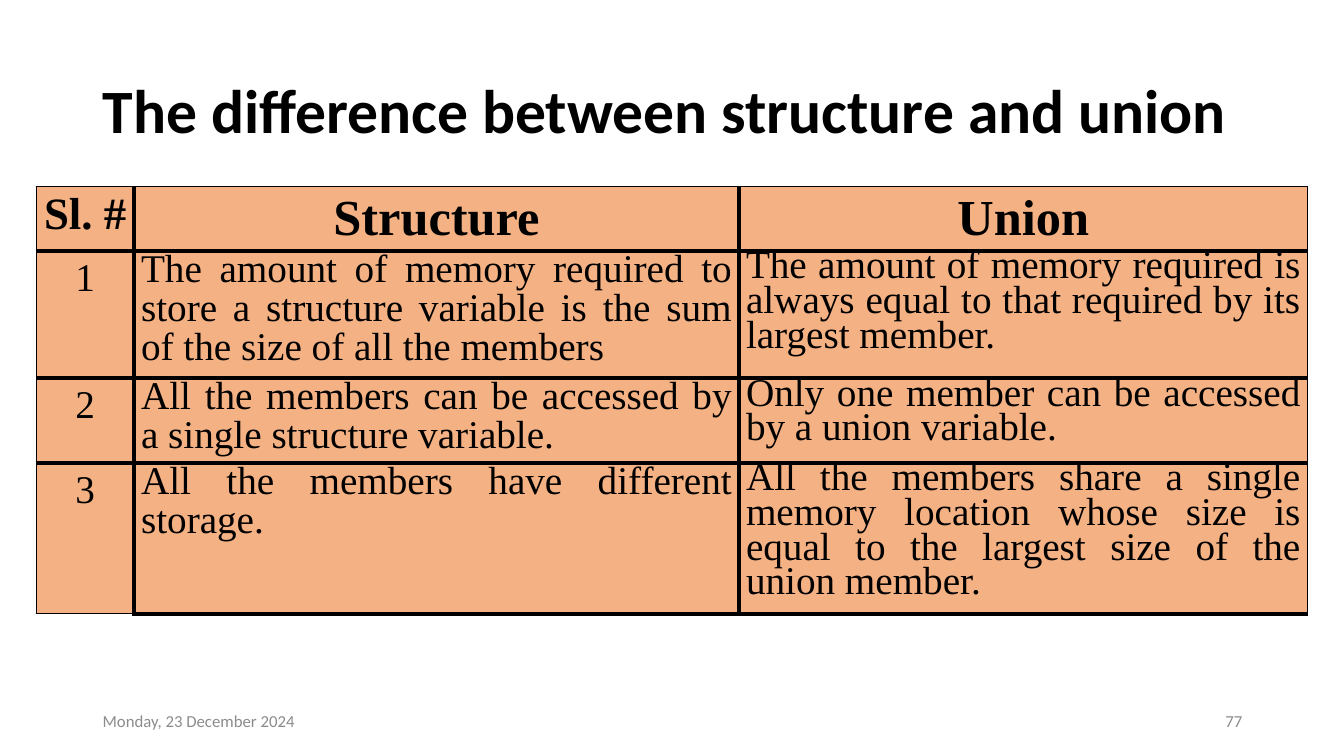
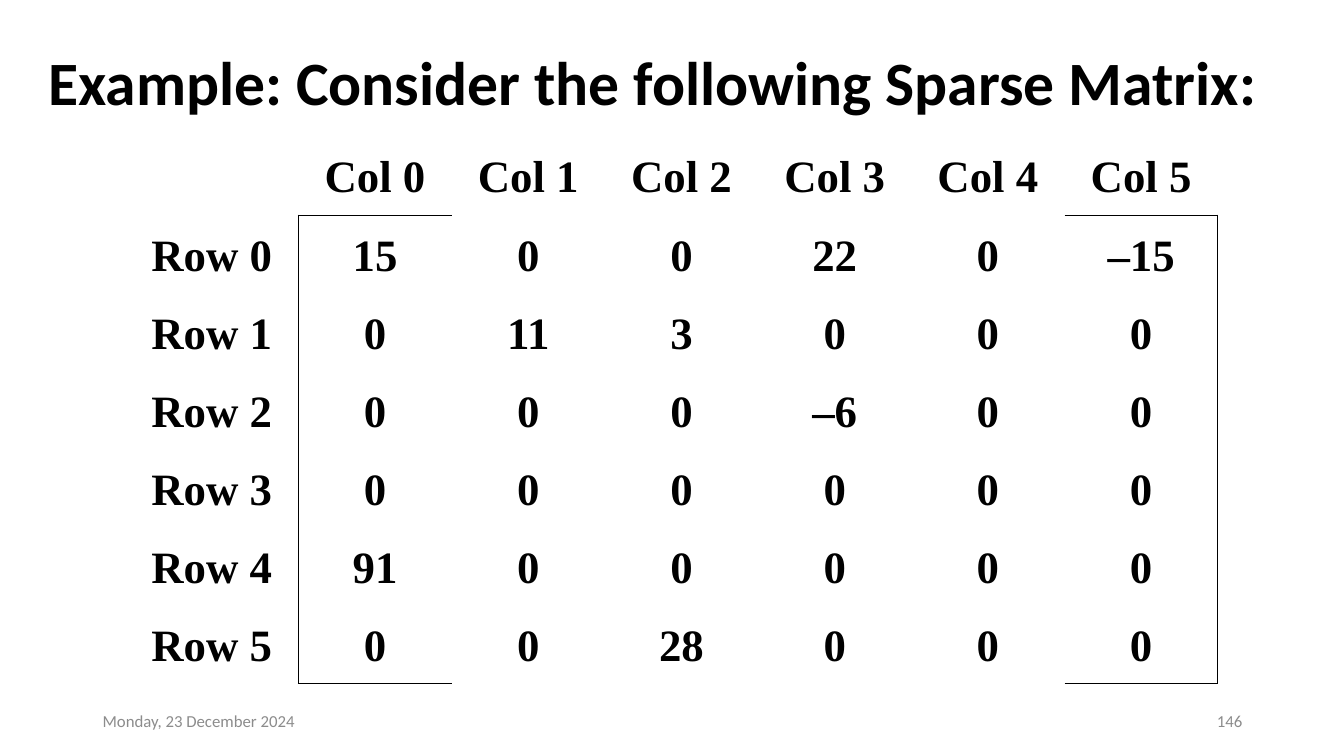
from pptx import Presentation
from pptx.dml.color import RGBColor
from pptx.enum.text import MSO_ANCHOR as ANCHOR, MSO_AUTO_SIZE as AUTO_SIZE, PP_ALIGN as ALIGN
from pptx.oxml.ns import qn
from pptx.util import Inches, Pt
from lxml.etree import SubElement

COLORS = {"ink": "000000", "footer": "8C8C8C", "cell": "F4B183"}
TITLE_FONT, TABLE_FONT = "Calibri", "Times New Roman"
NO_STYLE = "{2D5ABB26-0587-4C30-8999-92F81FD0307C}"
DATE = "Monday, 23 December 2024"

PAGES = [
    {"title": "The difference between structure and union",
     "title_at": (0.92, 0.4, 11.5, 1.45), "number": "77",
     "table_at": (0.36, 1.85), "columns": [0.97, 6, 5.64], "rows": [0.59, 1.16, 0.78, 1.38],
     "cells": [
         ["Sl. #", "Structure", "Union"],
         ["1",
          "The amount of memory required to store a structure variable is the sum "
          "of the size of all the members",
          "The amount of memory required is always equal to that required by its largest member."],
         ["2",
          "All the members can be accessed by a single structure variable.",
          "Only one member can be accessed by a union variable."],
         ["3",
          "All the members have different storage.",
          "All the members share a single memory location whose size is equal to "
          "the largest size of the union member."],
     ]},
    {"title": "Example: Consider the following Sparse Matrix:",
     "title_at": (0.38, 0.12, 12.57, 1.45), "number": "146",
     "table_at": (1.24, 1.36), "columns": [1.72] + [1.52] * 6, "rows": [0.775] * 7,
     "cells": [[""] + [f"Col {i}" for i in range(6)]] + [
         [f"Row {i}"] + values.split() for i, values in enumerate([
             "15 0 0 22 0 –15",
             "0 11 3 0 0 0",
             "0 0 0 –6 0 0",
             "0 0 0 0 0 0",
             "91 0 0 0 0 0",
             "0 0 28 0 0 0",
         ])]},
]


def style_text(para, font_name, size, color, bold=False, align=ALIGN.LEFT, spacing=1.0):
    para.alignment = align
    para.line_spacing = spacing
    for span in para.runs:
        span.font.name = font_name
        span.font.size = Pt(size)
        span.font.bold = bold
        span.font.color.rgb = RGBColor.from_string(COLORS[color])


def add_borders(cell, widths):
    """Draw the sides given in points; call before filling, since lines precede the fill."""
    properties = cell._tc.get_or_add_tcPr()
    for side in "LRTB":
        width = widths.get(side, 0)
        line = SubElement(properties, qn(f"a:ln{side}"), w=str(Pt(width)))
        if width:
            fill = SubElement(line, qn("a:solidFill"))
            SubElement(fill, qn("a:srgbClr"), val=COLORS["ink"])
        else:
            SubElement(line, qn("a:noFill"))


deck = Presentation()
deck.slide_width, deck.slide_height = Inches(13.33), Inches(7.5)
tables = []

# Title, footer and empty table of each slide
for content in PAGES:
    page = deck.slides.add_slide(deck.slide_layouts[5])
    title = page.shapes.title
    title.left, title.top, title.width, title.height = map(Inches, content["title_at"])
    frame = title.text_frame
    frame.text = content["title"]
    frame.word_wrap = True
    frame.auto_size = AUTO_SIZE.NONE
    frame.vertical_anchor = ANCHOR.MIDDLE
    style_text(frame.paragraphs[0], TITLE_FONT, 44, "ink", bold=True, spacing=0.9)

    for left, text, align in [(0.92, DATE, ALIGN.LEFT), (9.42, content["number"], ALIGN.RIGHT)]:
        box = page.shapes.add_textbox(Inches(left), Inches(6.95), Inches(3), Inches(0.4))
        frame = box.text_frame
        frame.text = text
        frame.word_wrap = True
        frame.vertical_anchor = ANCHOR.MIDDLE
        style_text(frame.paragraphs[0], TITLE_FONT, 12, "footer", align=align)

    left, top = content["table_at"]
    columns, rows = content["columns"], content["rows"]
    table = page.shapes.add_table(len(rows), len(columns), Inches(left), Inches(top),
                                  Inches(sum(columns)), Inches(sum(rows))).table
    table.first_row = table.horz_banding = False
    table._tbl.tblPr.find(qn("a:tableStyleId")).text = NO_STYLE
    for column, width in zip(table.columns, columns):
        column.width = Inches(width)
    for row, height, texts in zip(table.rows, rows, content["cells"]):
        row.height = Inches(height)
        for cell, text in zip(row.cells, texts):
            cell.text_frame.text = text
            cell.margin_left = cell.margin_right = Inches(0.07)
            cell.margin_top = cell.margin_bottom = 0
    tables.append(table)

comparison, matrix = tables

# Comparison: thick rules inside, thin ones around most of the outside
for r, row in enumerate(comparison.rows):
    for c, cell in enumerate(row.cells):
        add_borders(cell, {"L": 3 if c else 1, "R": 1 if c == 2 else 3,
                           "T": 3 if r else 1, "B": 1 if (r, c) == (3, 0) else 3})
        cell.fill.solid()
        cell.fill.fore_color.rgb = RGBColor.from_string(COLORS["cell"])
        para = cell.text_frame.paragraphs[0]
        if r == 0:
            style_text(para, TABLE_FONT, 36 if c else 32, "ink", True, ALIGN.CENTER, 1.07)
        elif c == 0:
            cell.margin_top = cell.margin_bottom = Inches(0.05)
            style_text(para, TABLE_FONT, 28, "ink", align=ALIGN.CENTER)
        else:
            style_text(para, TABLE_FONT, 28, "ink", align=ALIGN.JUSTIFY,
                       spacing=0.9 if c == 1 else 0.8)

# Matrix: brackets run down the first and last value columns
for r, row in enumerate(matrix.rows):
    for c, cell in enumerate(row.cells):
        sides = ""
        if c in (1, 6):
            if r > 0:
                sides += "L" if c == 1 else "R"
            sides += {0: "B", 1: "T", 6: "B"}.get(r, "")
        elif c == 0 and r > 0:
            sides = "R"
        add_borders(cell, dict.fromkeys(sides, 1))
        cell.fill.background()
        cell.vertical_anchor = ANCHOR.MIDDLE
        style_text(cell.text_frame.paragraphs[0], TABLE_FONT, 32, "ink", True, ALIGN.CENTER, 1.07)

deck.save("out.pptx")
